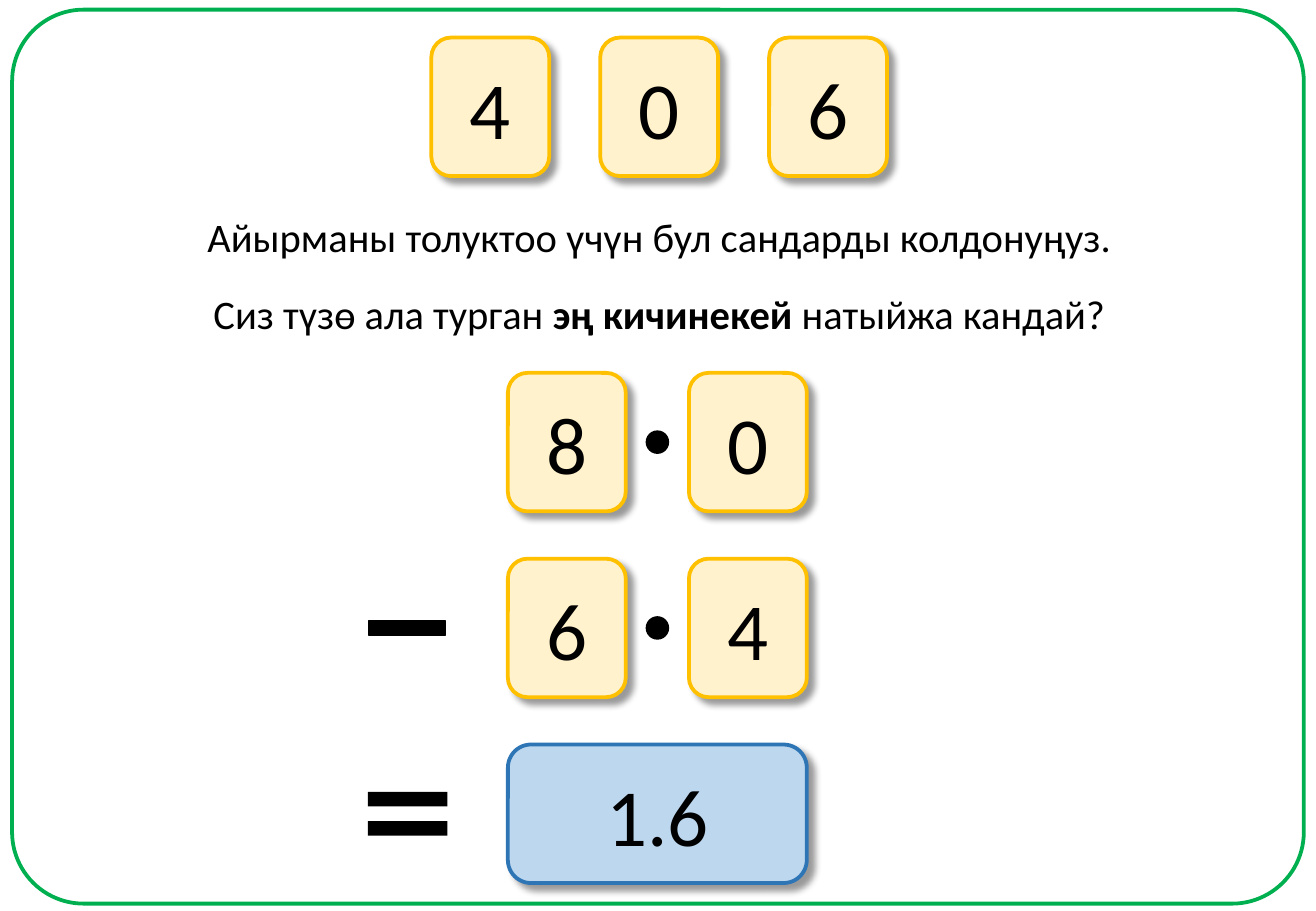
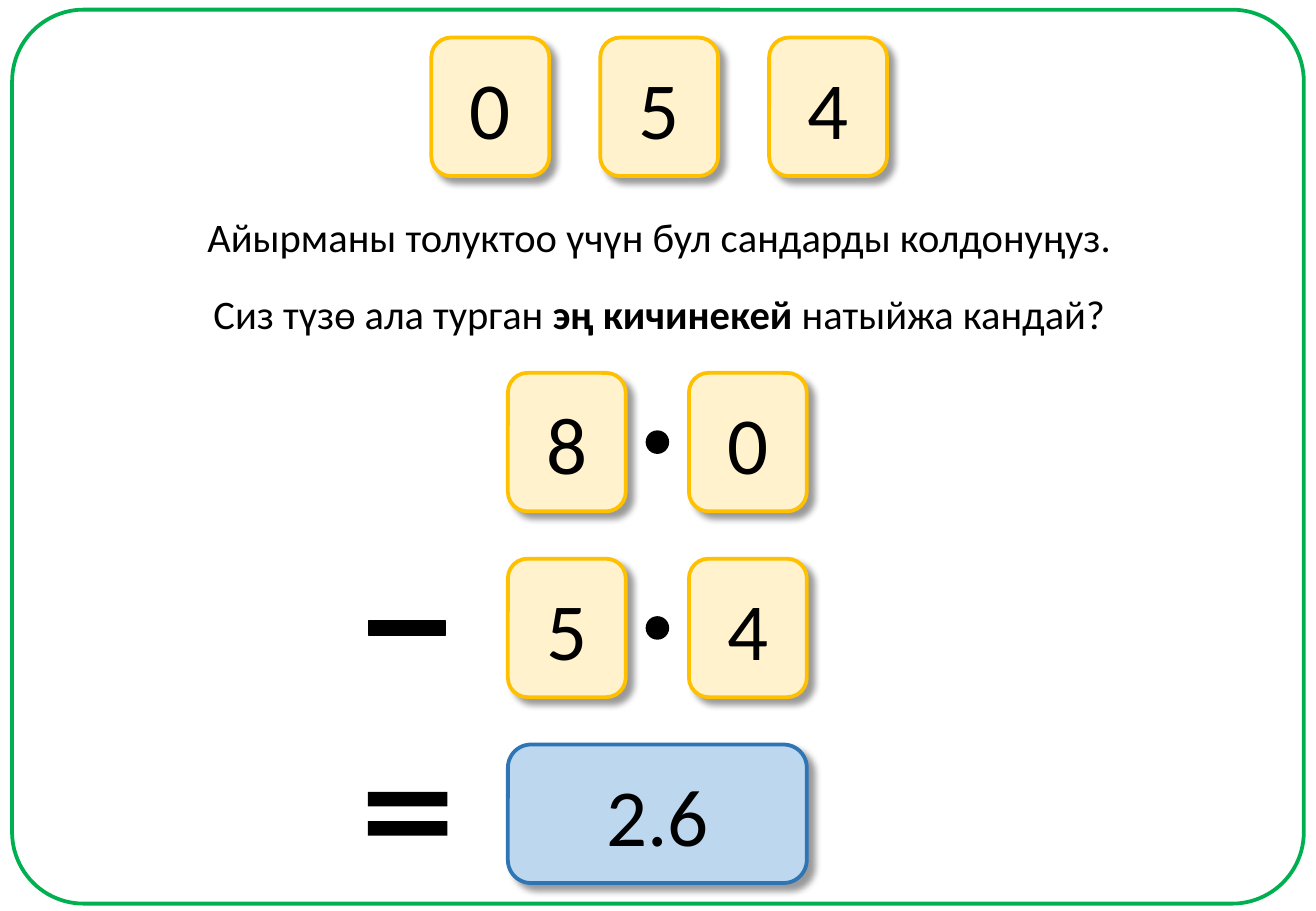
import pptx
import pptx.util
from lxml import etree
from pptx.dml.color import RGBColor
from pptx.enum.shapes import MSO_SHAPE
from pptx.enum.text import MSO_ANCHOR, MSO_AUTO_SIZE, PP_ALIGN
from pptx.oxml.ns import qn

PX = 9144  # EMU per px, 100 px to the inch
SLIDE_WIDTH, SLIDE_HEIGHT = 1083, 750
FONT = "Calibri"
COLORS = {
    "ink": "000000",
    "frame": "00B050",
    "card": "FFF2CC",
    "card_edge": "FFC000",
    "result": "BDD7EE",
    "result_edge": "2E75B6",
}
CARD_WIDTH, CARD_HEIGHT = 97, 114
DOT_SIZE = 18

INSTRUCTIONS = [
    [("Айырманы толуктоо үчүн бул сандарды колдонуңуз.", False)],
    [
        ("Сиз түзө ала турган ", False),
        ("эң кичинекей ", True),
        ("натыйжа кандай?", False),
    ],
]
# Each puzzle: number cards, decimals to subtract (whole part, tenths), result
PUZZLES = [
    ("406", ["80", "64"], "1.6"),
    ("054", ["80", "54"], "2.6"),
]


def px(length):
    return pptx.util.Emu(length * PX)


def rgb(name):
    return RGBColor.from_string(COLORS[name])


def write(frame, runs, size=24, color="ink", align=PP_ALIGN.CENTER,
          anchor=MSO_ANCHOR.TOP, wrap=True):
    """Fill a text frame with one paragraph of (text, bold) runs."""
    frame.word_wrap = wrap
    frame.vertical_anchor = anchor
    paragraph = frame.paragraphs[0]
    paragraph.alignment = align
    for text, bold in runs:
        run = paragraph.add_run()
        run.text = text
        run.font.name = FONT
        run.font.size = pptx.util.Pt(size)
        run.font.bold = bold
        run.font.color.rgb = rgb(color)


def add_shape(slide, kind, box, fill=None, line=None, line_width=2.25,
              adjustments=()):
    shape = slide.shapes.add_shape(kind, *map(px, box))
    shape.shadow.inherit = False
    for index, value in enumerate(adjustments):
        shape.adjustments[index] = value
    if fill:
        shape.fill.solid()
        shape.fill.fore_color.rgb = rgb(fill)
    else:
        shape.fill.background()
    if line:
        shape.line.color.rgb = rgb(line)
        shape.line.width = pptx.util.Pt(line_width)
    else:
        shape.line.fill.background()
    return shape


def add_drop_shadow(shape):
    effects = shape._element.spPr.find(qn("a:effectLst"))
    shadow = etree.SubElement(
        effects, qn("a:outerShdw"), blurRad=str(pptx.util.Pt(4)),
        dist=str(pptx.util.Pt(5)), dir="2700000", algn="tl", rotWithShape="0")
    color = etree.SubElement(shadow, qn("a:srgbClr"), val=COLORS["ink"])
    etree.SubElement(color, qn("a:alpha"), val="40000")


def add_card(slide, text, left, top, width=CARD_WIDTH, style="card"):
    card = add_shape(slide, MSO_SHAPE.ROUNDED_RECTANGLE,
                     (left, top, width, CARD_HEIGHT), style, style + "_edge")
    add_drop_shadow(card)
    write(card.text_frame, [(text, False)], size=48, anchor=MSO_ANCHOR.MIDDLE)


def add_number_cards(slide, digits, left, top, pitch=139):
    for index, digit in enumerate(digits):
        add_card(slide, digit, left + index * pitch, top)


def add_instructions(slide, left, top, width, pitch=63):
    for index, runs in enumerate(INSTRUCTIONS):
        box = slide.shapes.add_textbox(
            px(left), px(top + index * pitch), px(width), px(50))
        write(box.text_frame, runs, wrap=False)
        box.text_frame.auto_size = MSO_AUTO_SIZE.SHAPE_TO_FIT_TEXT


def add_decimal(slide, digits, left, top, width):
    """Two digit cards at the ends of the width, with a point between them."""
    add_card(slide, digits[0], left, top)
    add_card(slide, digits[1], left + width - CARD_WIDTH, top)
    add_shape(slide, MSO_SHAPE.OVAL,
              (left + (width - DOT_SIZE) // 2,
               top + (CARD_HEIGHT - DOT_SIZE) // 2, DOT_SIZE, DOT_SIZE),
              "ink", "ink", line_width=1)


def add_sign(slide, kind, center, top, width, height, adjustments, line=None):
    """A sign centred on a column and on the row of cards at top."""
    add_shape(slide, kind,
              (center - width // 2, top + (CARD_HEIGHT - height) // 2,
               width, height),
              "ink", line, line_width=1, adjustments=adjustments)


def add_subtraction(slide, decimals, result, left, top, width, pitch=153):
    for index, digits in enumerate(decimals):
        add_decimal(slide, digits, left, top + index * pitch, width)
    minus_top, result_top = top + pitch, top + 2 * pitch
    add_card(slide, result, left, result_top, width, "result")
    sign_center = left - 83
    add_sign(slide, MSO_SHAPE.MATH_MINUS, sign_center, minus_top, 86, 86,
             [0.13], line="ink")
    add_sign(slide, MSO_SHAPE.MATH_EQUAL, sign_center, result_top, 89, 100,
             [0.12, 0.12])


def add_puzzle_slide(presentation, digits, decimals, result):
    slide = presentation.slides.add_slide(presentation.slide_layouts[6])
    add_shape(slide, MSO_SHAPE.ROUNDED_RECTANGLE, (10, 8, 1063, 736),
              line="frame", adjustments=[0.08])
    add_number_cards(slide, digits, 355, 31)
    add_instructions(slide, 157, 170, 771)
    add_subtraction(slide, decimals, result, 418, 307, 246)


def main():
    presentation = pptx.Presentation()
    presentation.slide_width = px(SLIDE_WIDTH)
    presentation.slide_height = px(SLIDE_HEIGHT)
    for puzzle in PUZZLES:
        add_puzzle_slide(presentation, *puzzle)
    presentation.save("out.pptx")


if __name__ == "__main__":
    main()
